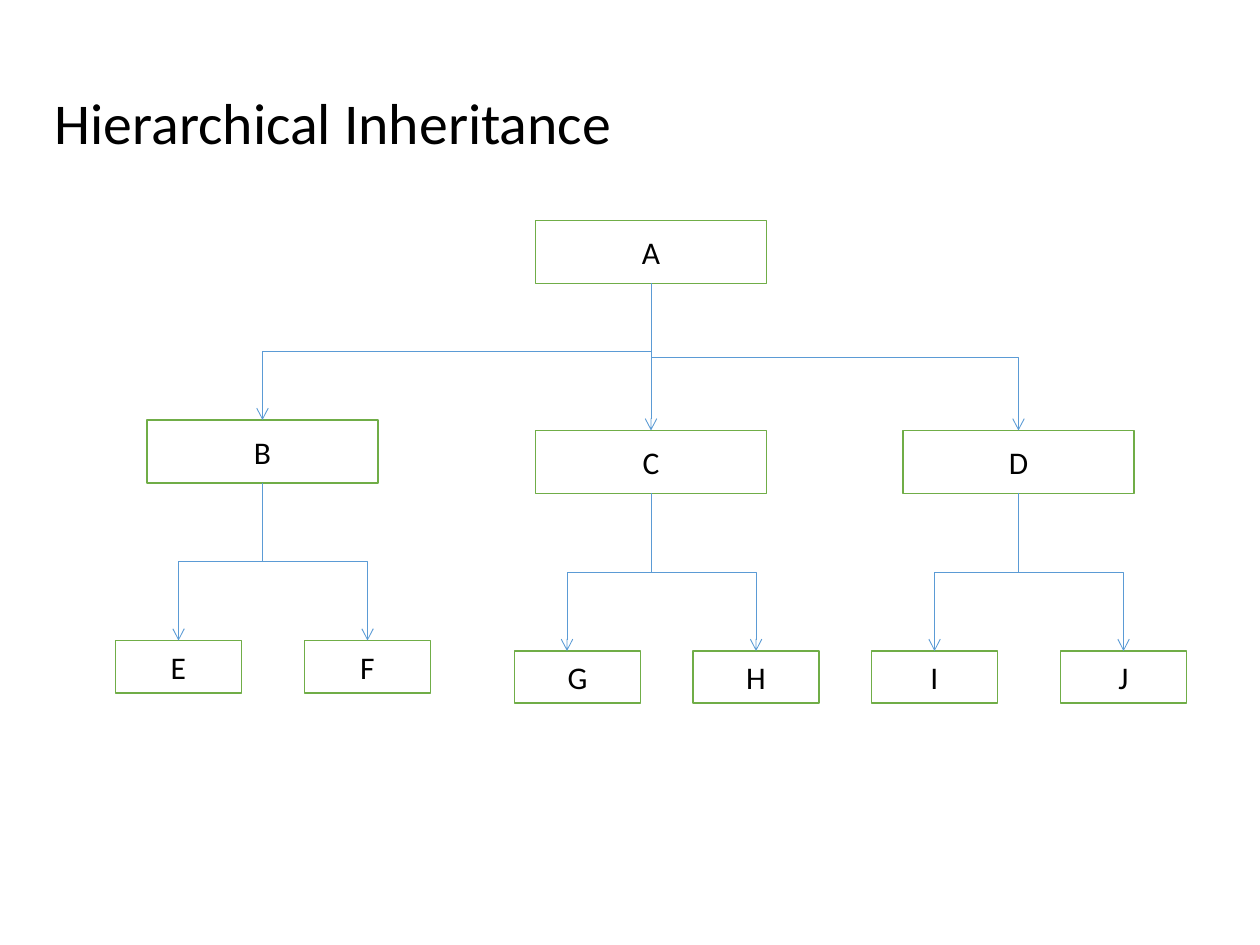
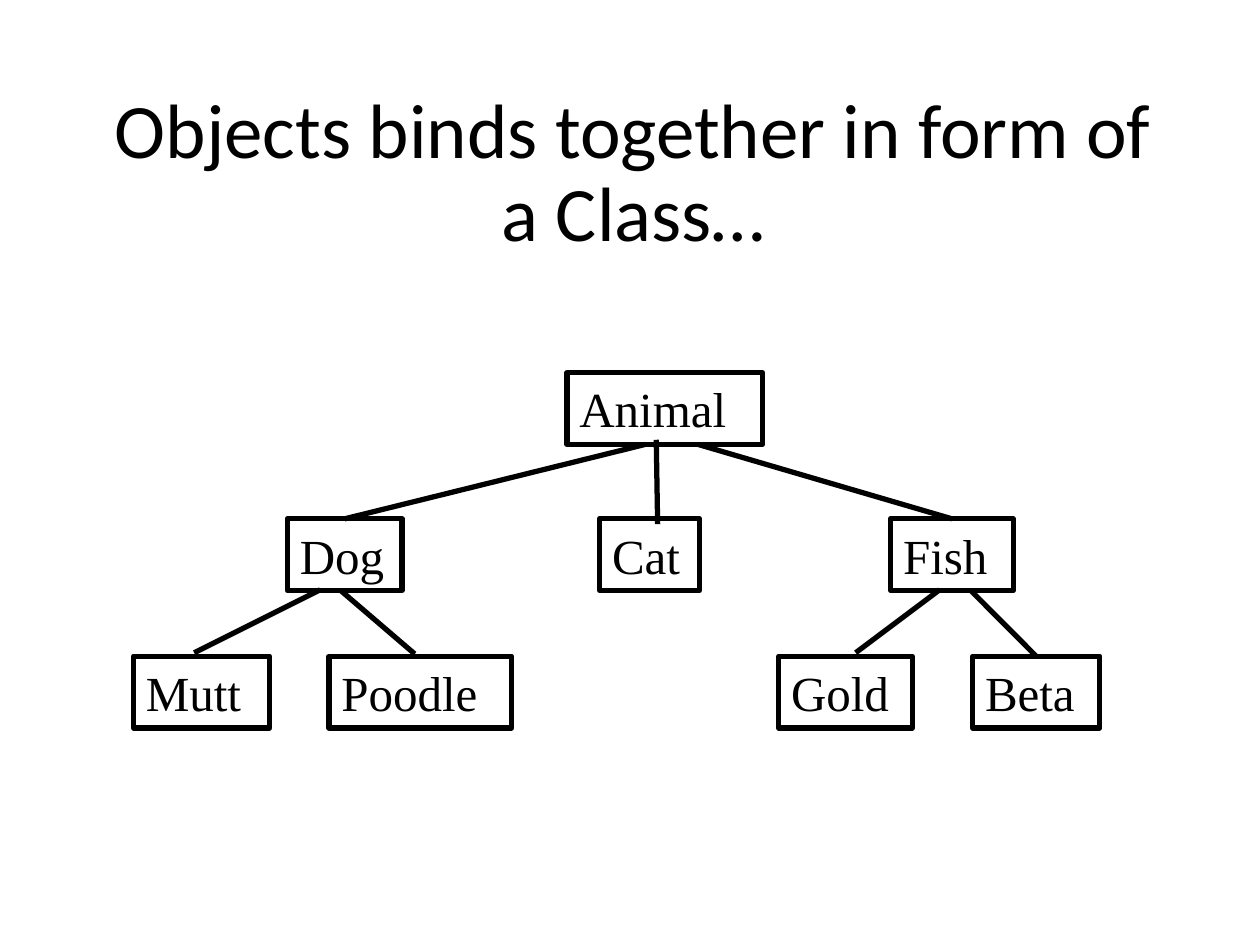
from pptx import Presentation
from pptx.dml.color import RGBColor
from pptx.enum.shapes import MSO_CONNECTOR, MSO_SHAPE
from pptx.enum.text import MSO_ANCHOR, MSO_AUTO_SIZE, PP_ALIGN
from pptx.oxml.ns import qn
from pptx.util import Pt
from lxml import etree

BLACK = RGBColor(0x00, 0x00, 0x00)
WHITE = RGBColor(0xFF, 0xFF, 0xFF)
GREEN = RGBColor(0x70, 0xAD, 0x47)
BLUE = RGBColor(0x5B, 0x9B, 0xD5)

RECTANGLE = MSO_SHAPE.RECTANGLE
STRAIGHT = MSO_CONNECTOR.STRAIGHT
ELBOW = MSO_CONNECTOR.ELBOW
LEFT, CENTER = PP_ALIGN.LEFT, PP_ALIGN.CENTER
TOP, MIDDLE, BOTTOM = MSO_ANCHOR.TOP, MSO_ANCHOR.MIDDLE, MSO_ANCHOR.BOTTOM
NO_AUTOFIT = MSO_AUTO_SIZE.NONE

TITLE_ONLY = 5
TOP_SIDE = 0
BODY_FONT = "Calibri"
CLASS_FONT = "Times New Roman"


def write_text(shape, text, *, size, font=BODY_FONT, align=CENTER, anchor=MIDDLE, spacing=1.0):
    frame = shape.text_frame
    frame.word_wrap = True
    frame.auto_size = NO_AUTOFIT
    frame.vertical_anchor = anchor
    frame.text = text
    paragraph = frame.paragraphs[0]
    paragraph.alignment = align
    paragraph.line_spacing = spacing
    paragraph.font.size = Pt(size)
    paragraph.font.name = font
    paragraph.font.color.rgb = BLACK


def place(shape, left, top, width, height):
    shape.left, shape.top = Pt(left), Pt(top)
    shape.width, shape.height = Pt(width), Pt(height)


class Deck:
    def __init__(self, presentation):
        self.presentation = presentation
        self.slide = None

    def start_slide(self, title, bounds, **text_format):
        layout = self.presentation.slide_layouts[TITLE_ONLY]
        self.slide = self.presentation.slides.add_slide(layout)
        shape = self.slide.shapes.title
        place(shape, *bounds)
        write_text(shape, title, spacing=0.9, **text_format)

    def box(self, text, bounds, line_color, line_width, fill=None, **text_format):
        shape = self.slide.shapes.add_shape(RECTANGLE, *map(Pt, bounds))
        shape.shadow.inherit = False
        if fill is None:
            shape.fill.background()
        else:
            shape.fill.solid()
            shape.fill.fore_color.rgb = fill
        shape.line.color.rgb = line_color
        shape.line.width = Pt(line_width)
        write_text(shape, text, **text_format)
        return shape

    def line(self, start, end, color, width, kind=STRAIGHT, arrow=False):
        connector = self.slide.shapes.add_connector(kind, *map(Pt, (*start, *end)))
        connector.line.color.rgb = color
        connector.line.width = Pt(width)
        properties = connector._element.spPr
        if arrow:
            etree.SubElement(properties.find(qn("a:ln")), qn("a:tailEnd"), type="arrow")
        etree.SubElement(properties, qn("a:effectLst"))
        return connector

    def elbow_down(self, start, end, color, width):
        (x1, y1), (x2, y2) = start, end
        middle_x, middle_y = (x1 + x2) / 2, (y1 + y2) / 2
        half_run, half_drop = abs(x2 - x1) / 2, (y2 - y1) / 2
        side = 1 if x2 > x1 else -1
        connector = self.line(
            (middle_x + side * half_drop, middle_y - half_run),
            (middle_x - side * half_drop, middle_y + half_run),
            color, width, kind=ELBOW, arrow=True)
        degrees = 270 if side > 0 else 90
        connector._element.spPr.find(qn("a:xfrm")).set("rot", str(degrees * 60000))


def build_inheritance_tree(deck):
    deck.start_slide("Hierarchical Inheritance", (24, 27, 648, 90), size=33, align=LEFT)
    parent_width, parent_height = 132, 36
    leaf_width, leaf_height = 72, 30
    leaf_drop = 90
    leaf_offsets = (-48, 60)
    root_left, root_top = 306, 126
    box_style = dict(line_color=GREEN, line_width=1, fill=WHITE, size=18)
    arrow_style = dict(color=BLUE, width=0.5)
    children = {
        "B": (84, 240, {"E": 66, "F": 174}),
        "C": (root_left, 246, {"G": 294, "H": 396}),
        "D": (516, 246, {"I": 498, "J": 606}),
    }

    deck.box("A", (root_left, root_top, parent_width, parent_height), **box_style)
    root_bottom = (root_left + parent_width / 2, root_top + parent_height)
    for name, (left, top, leaves) in children.items():
        child = deck.box(name, (left, top, parent_width, parent_height), **box_style)
        center, bottom = left + parent_width / 2, top + parent_height
        if left == root_left:
            arrow = deck.line((center, 168.5), (center, top), arrow=True, **arrow_style)
            arrow.end_connect(child, TOP_SIDE)
        else:
            deck.elbow_down(root_bottom, (center, top), **arrow_style)
        leaf_top = bottom + leaf_drop
        for (leaf, leaf_left), offset in zip(leaves.items(), leaf_offsets):
            deck.box(leaf, (leaf_left, leaf_top, leaf_width, leaf_height), **box_style)
            deck.elbow_down((center, bottom), (center + offset, leaf_top), **arrow_style)


def build_animal_classes(deck):
    deck.start_slide("Objects binds together in form of a Class…", (56, 0, 612, 151),
                     size=44, anchor=BOTTOM)
    box_height = 41
    levels = {
        213: {"Animal": (324, 111.6)},
        296.5: {"Dog": (164.2, 65.5), "Cat": (342.7, 57), "Fish": (509, 70)},
        375: {"Mutt": (76.3, 77.8), "Poodle": (188, 104.4),
              "Gold": (445, 76.3), "Beta": (555.8, 72.7)},
    }
    links = [
        ((368.6, 254), (195, 296), "Dog"),
        ((375, 251.3), (375.8, 299.5), None),
        ((399, 254), (543, 296), "Fish"),
        ((195, 337.7), (237, 373.7), None),
        ((183, 337), (111, 373), None),
        ((537, 337), (489, 373), None),
        ((555, 337.7), (591, 373.7), "Beta"),
    ]

    boxes = {}
    for top, row in levels.items():
        for name, (left, width) in row.items():
            boxes[name] = deck.box(name, (left, top, width, box_height), BLACK, 3,
                                   size=28, font=CLASS_FONT, align=LEFT, anchor=TOP)
    for start, end, target in links:
        link = deck.line(start, end, BLACK, 3)
        if target:
            link.end_connect(boxes[target], TOP_SIDE)


def main():
    presentation = Presentation()
    presentation.slide_width, presentation.slide_height = Pt(720), Pt(540)
    deck = Deck(presentation)
    build_inheritance_tree(deck)
    build_animal_classes(deck)
    presentation.save("out.pptx")


if __name__ == "__main__":
    main()
